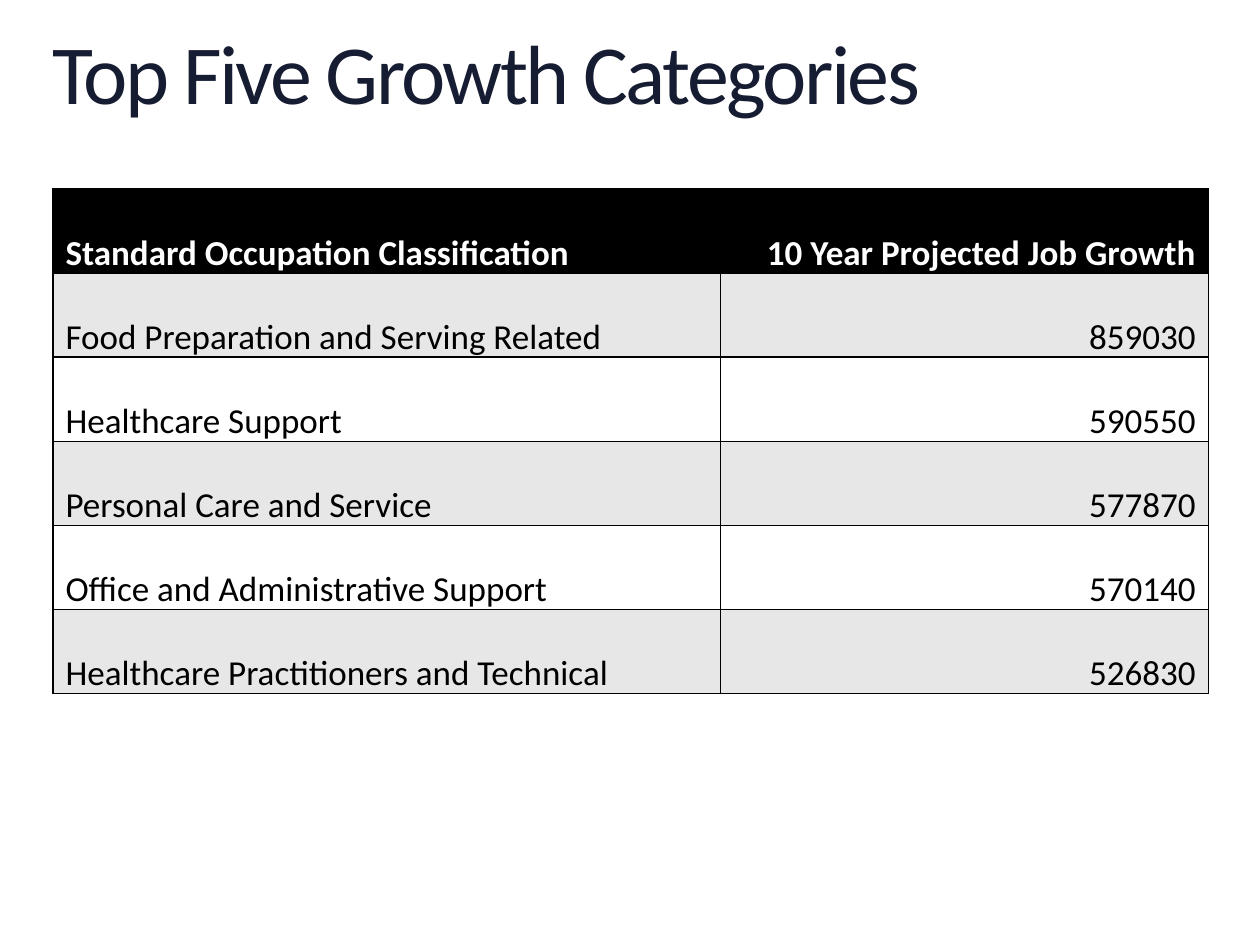
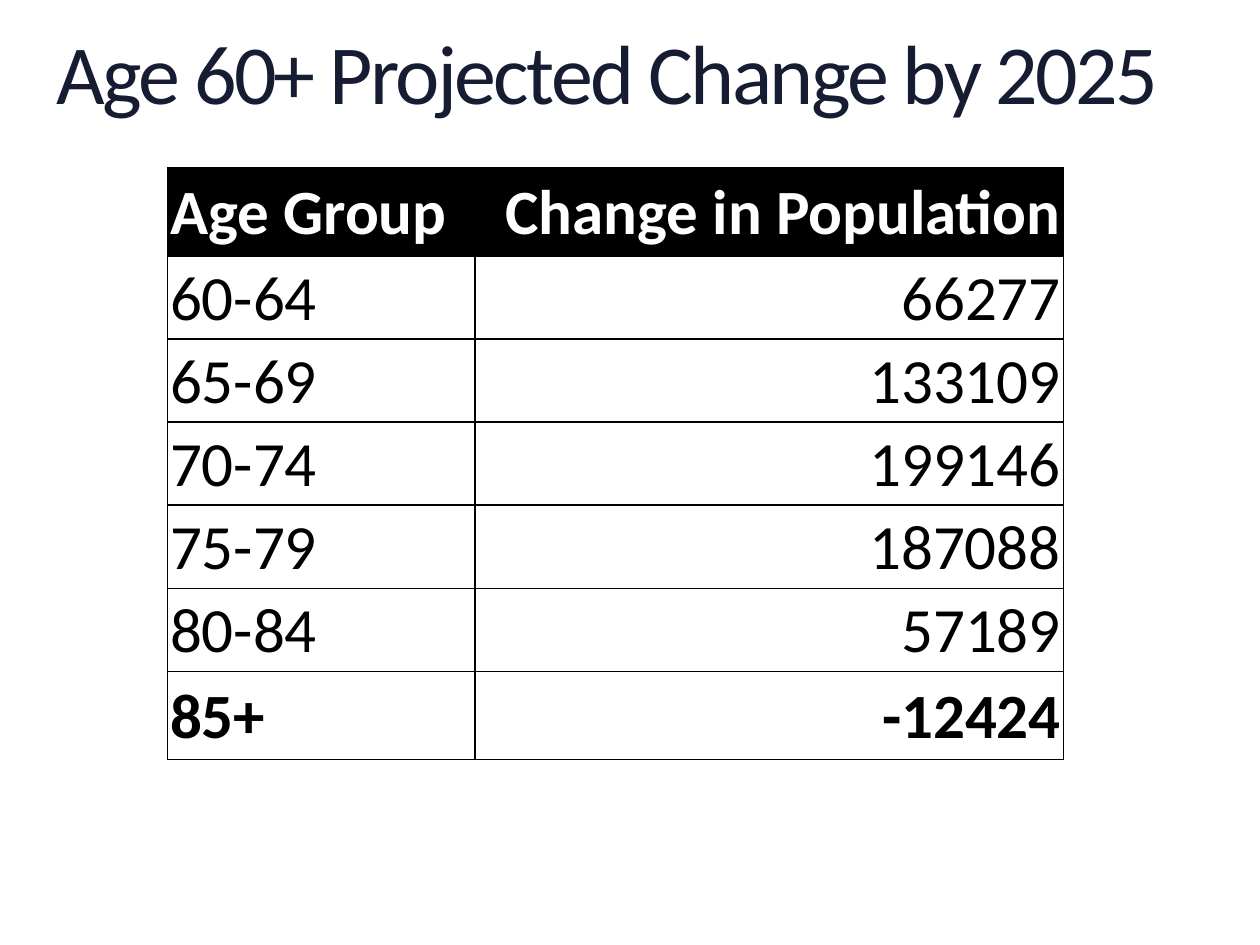
from lxml import etree
from pptx import Presentation
from pptx import util as u
from pptx.dml.color import RGBColor
from pptx.enum import text
from pptx.oxml import parse_xml
from pptx.oxml.ns import nsdecls

HUES = {"black": "000000", "white": "FFFFFF", "band": "E7E7E7",
        "blue": "2E59B0", "navy": "161D32"}
FONT = "Calibri"
LEFT, MID, RIGHT = text.PP_ALIGN.LEFT, text.PP_ALIGN.CENTER, text.PP_ALIGN.RIGHT
FADE = [(0, "blue"), (49, "navy"), (100, "black")]
STOPS = "".join(f'<a:gs pos="{pos * 1000}"><a:srgbClr val="{HUES[hue]}"/></a:gs>'
                for pos, hue in FADE)
GRAD = (f'<a:gradFill {nsdecls("a")}><a:gsLst>{STOPS}</a:gsLst>'
        '<a:lin ang="5400000" scaled="0"/></a:gradFill>')
EDGE = (f'<a:{{side}} {nsdecls("a")} w="12700"><a:solidFill>'
        f'<a:srgbClr val="{HUES["black"]}"/></a:solidFill></a:{{side}}>')


def put(frame, words, size, hue=None, bold=False, align=LEFT, lead=1.0):
    """Write one formatted paragraph and return its run."""
    para = frame.paragraphs[0]
    para.alignment, para.line_spacing = align, lead
    run = para.add_run()
    run.text = words
    run.font.name, run.font.size, run.font.bold = FONT, u.Pt(size), bold
    if hue:
        run.font.color.rgb = RGBColor.from_string(HUES[hue])
    return run


slides = [
    dict(title="Top Five Growth Categories", box=(0.42, 0.25, 6.94, 0.73), align=LEFT,
         spot=(0.42, 1.5), cols=[5.3, 3.87], tall=[4 / 6] * 6,
         size=20, lead=2.0, pads=(0.1, 0, 0.1, 0), anchor=text.MSO_ANCHOR.BOTTOM,
         bands=["band", "white"], bold=[0],
         rows=[("Standard Occupation Classification", "10 Year Projected Job Growth"),
               ("Food Preparation and Serving Related", "859030"),
               ("Healthcare Support", "590550"),
               ("Personal Care and Service", "577870"),
               ("Office and Administrative Support", "570140"),
               ("Healthcare Practitioners and Technical", "526830")]),
    dict(title="Age 60+ Projected Change by 2025 ", box=(0.32, 0.25, 9.13, 0.73), align=MID,
         spot=(1.33, 1.33), cols=[2.44, 4.67], tall=[0.7] + [0.66] * 5 + [0.7],
         size=36, lead=1.0, pads=(0.02, 0.02, 0.02, 0), anchor=text.MSO_ANCHOR.MIDDLE,
         bands=["white"], bold=[0, 6],
         rows=[("Age Group", "Change in Population"), ("60-64", "66277"),
               ("65-69", "133109"), ("70-74", "199146"), ("75-79", "187088"),
               ("80-84", "57189"), ("85+", "-12424")]),
]

deck = Presentation()
deck.slide_width, deck.slide_height = u.Inches(10), u.Inches(7.5)

for page in slides:
    slide = deck.slides.add_slide(deck.slide_layouts[5])

    title = slide.shapes.title
    title.left, title.top, title.width, title.height = map(u.Inches, page["box"])
    frame = title.text_frame
    frame.margin_left = frame.margin_top = frame.margin_right = frame.margin_bottom = 0
    frame.vertical_anchor = text.MSO_ANCHOR.TOP
    frame.word_wrap = False
    frame.auto_size = text.MSO_AUTO_SIZE.SHAPE_TO_FIT_TEXT
    run = put(frame, page["title"], 48, align=page["align"], lead=0.9)
    props = run.font._element
    props.set("spc", "-150")
    props.insert(0, parse_xml(GRAD))

    rows, cols, tall = page["rows"], page["cols"], page["tall"]
    area = (*page["spot"], sum(cols), sum(tall))
    table = slide.shapes.add_table(len(rows), len(cols), *map(u.Inches, area)).table
    table.first_row = table.horz_banding = False
    for col, wide in zip(table.columns, cols):
        col.width = u.Inches(wide)
    for r, line in enumerate(rows):
        table.rows[r].height = u.Inches(tall[r])
        fill = page["bands"][(r - 1) % len(page["bands"])] if r else "black"
        for c, words in enumerate(line):
            cell = table.cell(r, c)
            (cell.margin_left, cell.margin_top,
             cell.margin_right, cell.margin_bottom) = map(u.Inches, page["pads"])
            cell.vertical_anchor = page["anchor"]
            for side in ("lnL", "lnR", "lnT", "lnB"):
                cell._tc.get_or_add_tcPr().append(parse_xml(EDGE.format(side=side)))
            cell.fill.solid()
            cell.fill.fore_color.rgb = RGBColor.from_string(HUES[fill])
            put(cell.text_frame, words, page["size"], hue="black" if r else "white",
                bold=r in page["bold"], align=RIGHT if c else LEFT, lead=page["lead"])

deck.save("out.pptx")
